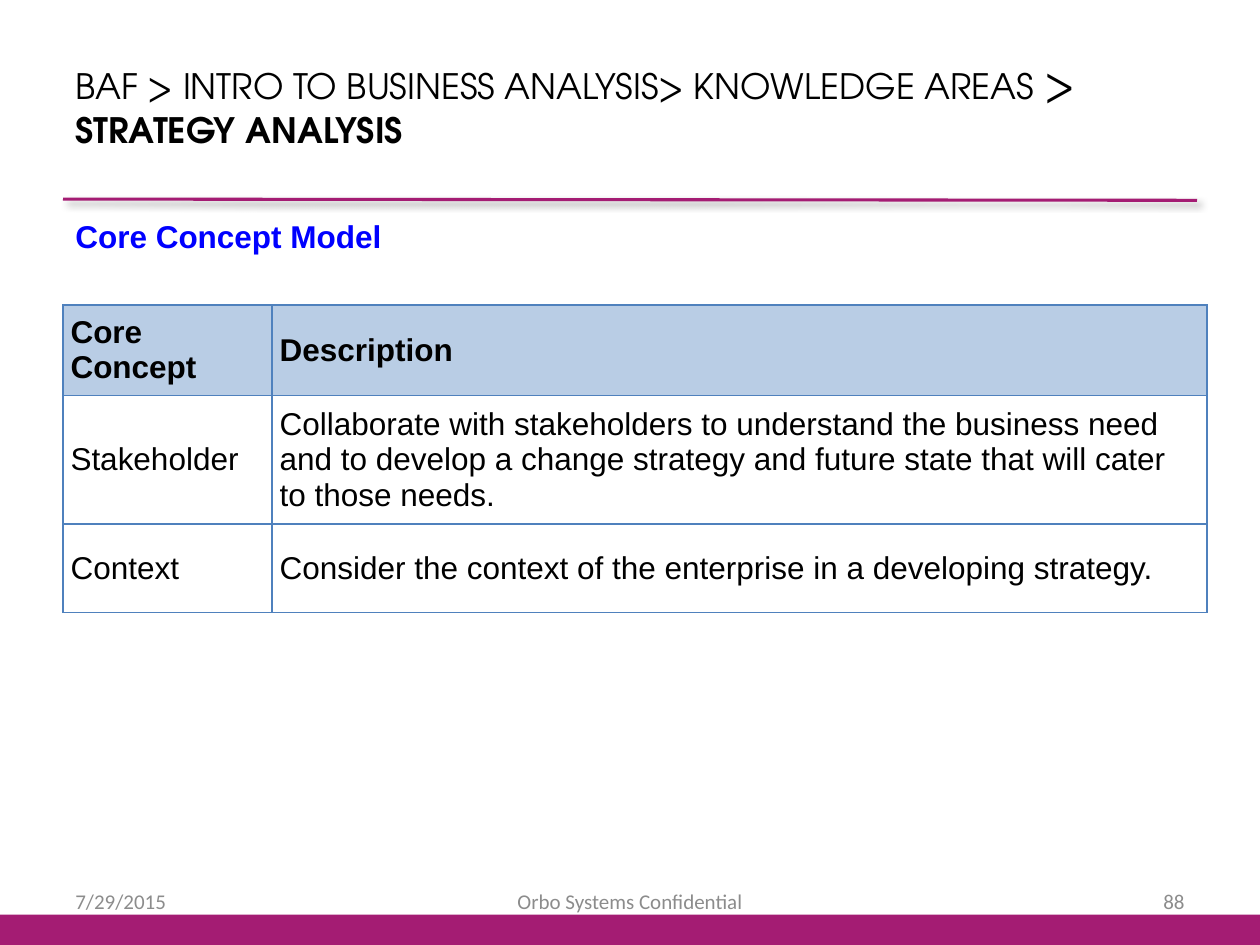
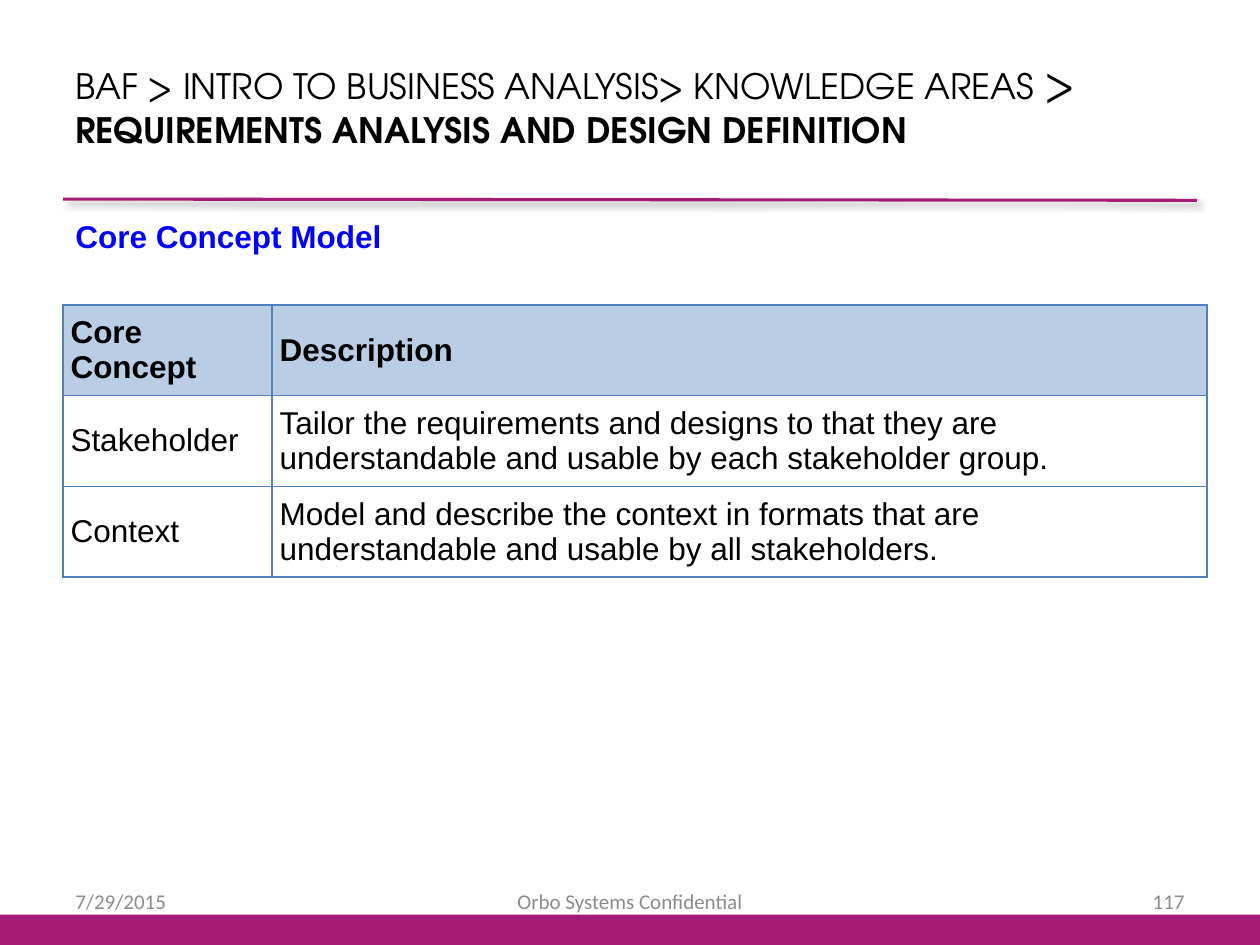
"""Build two core concept slides with a shared title, rule and footer."""
import dataclasses

import lxml.etree
import pptx
import pptx.dml.color
import pptx.enum.shapes
import pptx.enum.text
import pptx.oxml.ns
import pptx.util

Inches = pptx.util.Inches
Pt = pptx.util.Pt
Align = pptx.enum.text.PP_ALIGN
Anchor = pptx.enum.text.MSO_ANCHOR
qn = pptx.oxml.ns.qn


@dataclasses.dataclass(frozen=True)
class Style:
    """Describe the look of one run of text."""
    font: str
    size: int
    color: str
    bold: bool = False


class Theme:
    """Hold the colours and text styles of the deck."""
    band = "A41C73"
    head = "B9CDE5"
    edge = "4F81BD"
    shade = "000000"
    crumb = Style("TeX Gyre Adventor", 20, "000000")
    arrow = dataclasses.replace(crumb, size=24)
    topic = dataclasses.replace(crumb, bold=True)
    sub = Style("Arial", 18, "0000FF", True)
    cell = Style("Arial", 18, "000000")
    label = dataclasses.replace(cell, bold=True)
    foot = Style("Calibri", 12, "8C8C8C")


CRUMB = "BAF > INTRO TO BUSINESS ANALYSIS> KNOWLEDGE AREAS "
DATE = "7/29/2015"
OWNER = "Orbo Systems Confidential"
HEADS = ("Core Concept", "Description")
SLIDES = [
    ("STRATEGY ANALYSIS", "88", [
        ("Stakeholder", "Collaborate with stakeholders to understand the business need "
         "and to develop a change strategy and future state that will cater to those needs."),
        ("Context", "Consider the context of the enterprise in a developing strategy."),
    ]),
    ("REQUIREMENTS ANALYSIS AND DESIGN DEFINITION", "117", [
        ("Stakeholder", "Tailor the requirements and designs to that they are "
         "understandable and usable by each stakeholder group."),
        ("Context", "Model and describe the context in formats that are "
         "understandable and usable by all stakeholders."),
    ]),
]


def rgb(code):
    """Turn a hex code into a colour."""
    return pptx.dml.color.RGBColor.from_string(code)


def write(para, text, style):
    """Add one styled run to a paragraph."""
    run = para.add_run()
    run.text = text
    run.font.name = style.font
    run.font.size = Pt(style.size)
    run.font.bold = style.bold
    run.font.color.rgb = rgb(style.color)


def add_text(slide, box, runs, align=Align.LEFT, anchor=Anchor.MIDDLE):
    """Add a wrapped text box of styled runs."""
    frame = slide.shapes.add_textbox(*map(Inches, box)).text_frame
    frame.word_wrap = True
    frame.vertical_anchor = anchor
    para = frame.paragraphs[0]
    para.alignment = align
    for text, style in runs:
        write(para, text, style)


def add_band(slide, box):
    """Draw the solid band at the foot of the slide."""
    band = slide.shapes.add_shape(
        pptx.enum.shapes.MSO_SHAPE.RECTANGLE, *map(Inches, box))
    band.shadow.inherit = False
    band.fill.solid()
    band.fill.fore_color.rgb = rgb(Theme.band)
    band.line.fill.background()


def add_rule(slide, box):
    """Draw the rule under the title with its soft shadow."""
    left, top, width, height = box
    rule = slide.shapes.add_connector(
        pptx.enum.shapes.MSO_CONNECTOR.STRAIGHT,
        *map(Inches, (left, top, left + width, top + height)))
    rule.line.color.rgb = rgb(Theme.band)
    rule.line.width = Pt(1.75)
    props = rule.line._get_or_add_ln().getparent()
    effects = lxml.etree.SubElement(props, qn("a:effectLst"))
    shadow = lxml.etree.SubElement(
        effects, qn("a:outerShdw"), blurRad=str(Pt(4)), dist=str(Pt(3)),
        dir=str(45 * 60000), algn="tl", rotWithShape="0")
    color = lxml.etree.SubElement(shadow, qn("a:srgbClr"), val=Theme.shade)
    lxml.etree.SubElement(color, qn("a:alpha"), val="40000")


def add_foot(slide, box, page):
    """Place the date, owner and page number along the box."""
    left, top, width, height = box
    side, mid = 2.33, 3.17
    parts = [(left, side, DATE, Align.LEFT),
             (left + (width - mid) / 2, mid, OWNER, Align.CENTER),
             (left + width - side, side, page, Align.RIGHT)]
    for start, span, text, align in parts:
        add_text(slide, (start, top, span, height), [(text, Theme.foot)], align)


def add_edges(cell):
    """Outline all four sides of a table cell."""
    props = cell._tc.get_or_add_tcPr()
    for tag in ("a:lnL", "a:lnR", "a:lnT", "a:lnB"):
        line = lxml.etree.SubElement(props, qn(tag), w=str(Pt(1)))
        fill = lxml.etree.SubElement(line, qn("a:solidFill"))
        lxml.etree.SubElement(fill, qn("a:srgbClr"), val=Theme.edge)


def fill_cell(cell, text, head):
    """Style one cell as a heading or as body text."""
    cell.vertical_anchor = Anchor.MIDDLE
    cell.margin_left = cell.margin_right = Inches(0.06)
    cell.margin_top = cell.margin_bottom = Inches(0.06)
    add_edges(cell)
    if head:
        cell.fill.solid()
        cell.fill.fore_color.rgb = rgb(Theme.head)
    else:
        cell.fill.background()
    write(cell.text_frame.paragraphs[0], text, Theme.label if head else Theme.cell)


def add_grid(slide, box, rows):
    """Build the concept table in the given box."""
    cells = [HEADS, *rows]
    grid = slide.shapes.add_table(len(cells), len(HEADS), *map(Inches, box)).table
    grid.first_row = grid.horz_banding = False
    first = 1.66
    for col, width in zip(grid.columns, (first, box[2] - first)):
        col.width = Inches(width)
    for row, height in zip(grid.rows, (0.7, 0.49, 0.7)):
        row.height = Inches(height)
    for i, texts in enumerate(cells):
        for j, text in enumerate(texts):
            fill_cell(grid.cell(i, j), text, i == 0)


def add_slide(deck, topic, page, rows):
    """Compose one concept slide from its regions."""
    slide = deck.slides.add_slide(deck.slide_layouts[6])
    add_band(slide, (0, 7.26, 10, 0.24))
    add_rule(slide, (0.5, 1.58, 9, 0.01))
    add_text(slide, (0.5, 0.2, 9.25, 1.25),
             [(CRUMB, Theme.crumb), ("> ", Theme.arrow), (topic, Theme.topic)])
    add_text(slide, (0.5, 1.67, 9, 0.5), [("Core Concept Model", Theme.sub)],
             anchor=Anchor.TOP)
    add_foot(slide, (0.5, 6.95, 9, 0.4), page)
    add_grid(slide, (0.5, 2.42, 9.08, 1.89), rows)


def main():
    """Build and save the deck."""
    deck = pptx.Presentation()
    deck.slide_width, deck.slide_height = Inches(10), Inches(7.5)
    for topic, page, rows in SLIDES:
        add_slide(deck, topic, page, rows)
    deck.save("out.pptx")


if __name__ == "__main__":
    main()
